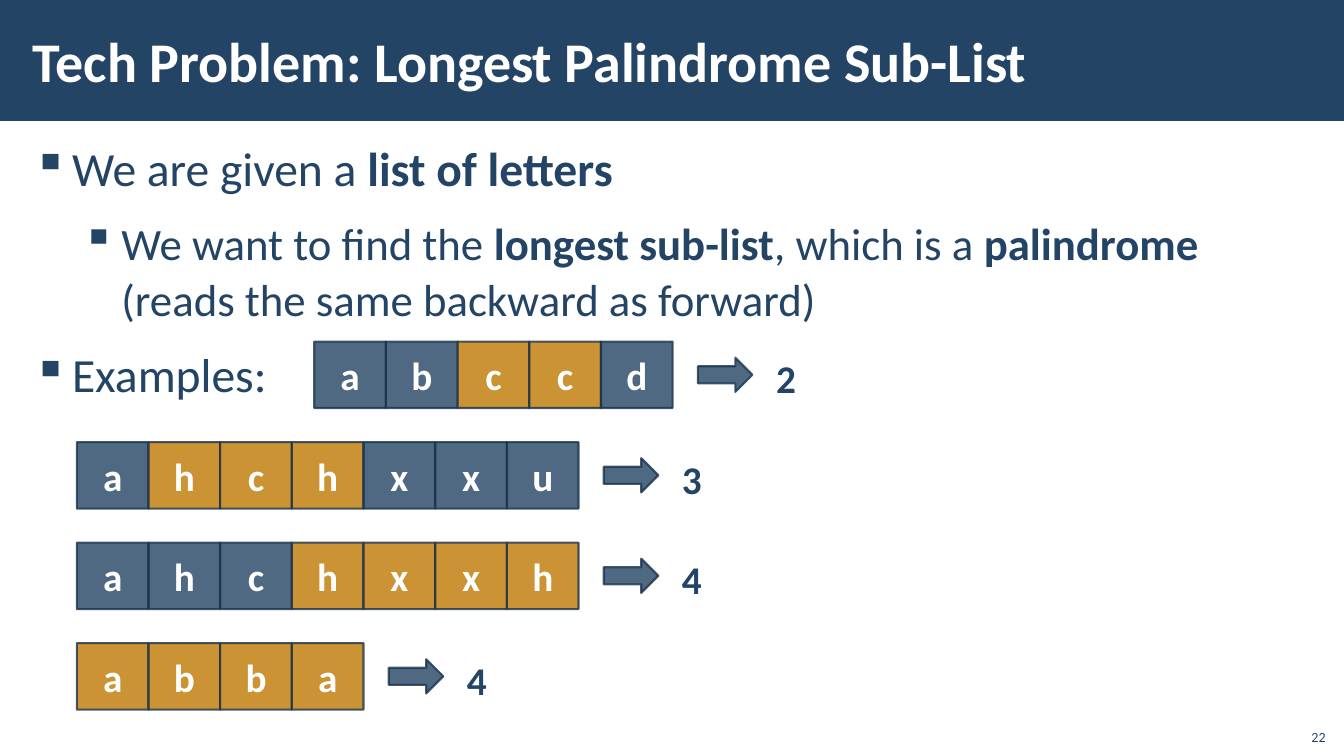
"""Build the slide on the longest palindrome sub-list problem."""
from dataclasses import dataclass

from lxml import etree
from pptx import Presentation
from pptx.dml.color import RGBColor
from pptx.enum import shapes, text
from pptx.oxml import ns
from pptx.util import Pt

NAVY = RGBColor(0x23, 0x44, 0x65)
DARK_NAVY = RGBColor(0x1A, 0x33, 0x4C)
GOLD = RGBColor(0xBF, 0x78, 0x00)
WHITE = RGBColor(0xFF, 0xFF, 0xFF)

FONT = "Calibri"
WIDTH, HEIGHT = 960, 540
CELL_PITCH, CELL_HEIGHT = 51.2, 47.5
FIRST_ROW_TOP, ROW_PITCH = 244, 71.8
ARROW_GAP, ARROW_WIDTH, ARROW_HEIGHT = 18, 39, 24.5
RESULT_OFFSET = 44.3


@dataclass(frozen=True)
class Bullet:
    level: int
    size: int
    runs: tuple[tuple[str, bool], ...]


@dataclass(frozen=True)
class Example:
    letters: str
    start: int
    length: int
    left: float = 54.9


BULLETS = (
    Bullet(0, 34, (("We are given a ", False), ("list of letters", True))),
    Bullet(1, 32, (("We want to find the ", False), ("longest sub-list", True),
                   (", which is a ", False), ("palindrome", True),
                   (" (reads the same backward as forward)", False))),
    Bullet(0, 34, (("Examples:", False),)),
)
EXAMPLES = (
    Example("abccd", 2, 2, 224.5),
    Example("ahchxxu", 1, 3),
    Example("ahchxxh", 3, 4),
    Example("abba", 0, 4),
)


def place(sp, left: float, top: float, width: float, height: float) -> None:
    sp.left, sp.top, sp.width, sp.height = map(Pt, (left, top, width, height))


def add_run(p, content: str, size: float, color: RGBColor, bold: bool = False) -> None:
    r = p.add_run()
    r.text = content
    r.font.name, r.font.size, r.font.bold = FONT, Pt(size), bold
    r.font.color.rgb = color


def set_frame(tf, inset_x: float, inset_y: float, anchor, wrap: bool = True) -> None:
    tf.auto_size = text.MSO_AUTO_SIZE.NONE
    tf.word_wrap = wrap
    tf.vertical_anchor = anchor
    tf.margin_left = tf.margin_right = Pt(inset_x)
    tf.margin_top = tf.margin_bottom = Pt(inset_y)


def add_box(s, left: float, top: float, width: float, height: float):
    return s.shapes.add_textbox(*map(Pt, (left, top, width, height))).text_frame


def add_tinted_shape(s, kind, left: float, top: float, width: float, height: float,
                     fill: RGBColor):
    sp = s.shapes.add_shape(kind, *map(Pt, (left, top, width, height)))
    sp.shadow.inherit = False
    sp.fill.solid()
    sp.fill.fore_color.rgb = fill
    sp.line.color.rgb = DARK_NAVY
    sp.line.width = Pt(1.5)
    for color in sp.element.spPr.iter(ns.qn("a:srgbClr")):
        etree.SubElement(color, ns.qn("a:alpha"), val="80000")
    return sp


def add_title(s) -> None:
    title = s.shapes.title
    place(title, 15, 8, 765.5, 70)
    set_frame(title.text_frame, 8.5, 2.8, text.MSO_ANCHOR.MIDDLE)
    p = title.text_frame.paragraphs[0]
    p.alignment = text.PP_ALIGN.LEFT
    add_run(p, "Tech Problem: Longest Palindrome Sub-List", 40, WHITE, True)

    banner = s.shapes.add_shape(shapes.MSO_SHAPE.RECTANGLE, 0, 0, Pt(WIDTH), Pt(86.4))
    banner.shadow.inherit = False
    banner.fill.solid()
    banner.fill.fore_color.rgb = NAVY
    banner.line.fill.background()
    title.element.addprevious(banner.element)


def add_bullets(s) -> None:
    tf = add_box(s, 15, 94.3, 930, 435.6)
    set_frame(tf, 8.5, 2.8, text.MSO_ANCHOR.TOP)
    for i, bullet in enumerate(BULLETS):
        p = tf.add_paragraph() if i else tf.paragraphs[0]
        p.level = bullet.level
        p.line_spacing = 1.05
        p.space_before = p.space_after = Pt(6)
        props = p._p.get_or_add_pPr()
        props.set("marL", str(Pt(28 + 35.2 * bullet.level)))
        props.set("indent", str(Pt(-28)))
        etree.SubElement(props, ns.qn("a:buChar"), char="▪")
        for content, bold in bullet.runs:
            add_run(p, content, bullet.size, NAVY, bold)


def add_example(s, example: Example, top: float) -> None:
    palindrome = range(example.start, example.start + example.length)
    for i, letter in enumerate(example.letters):
        cell = add_tinted_shape(s, shapes.MSO_SHAPE.RECTANGLE,
                                example.left + i * CELL_PITCH, top, CELL_PITCH, CELL_HEIGHT,
                                GOLD if i in palindrome else NAVY)
        set_frame(cell.text_frame, 7.2, 3.6, text.MSO_ANCHOR.MIDDLE)
        p = cell.text_frame.paragraphs[0]
        p.alignment = text.PP_ALIGN.CENTER
        add_run(p, letter, 28, WHITE, True)

    arrow_left = example.left + len(example.letters) * CELL_PITCH + ARROW_GAP
    add_tinted_shape(s, shapes.MSO_SHAPE.RIGHT_ARROW, arrow_left,
                     top + (CELL_HEIGHT - ARROW_HEIGHT) / 2, ARROW_WIDTH, ARROW_HEIGHT, NAVY)

    tf = add_box(s, arrow_left + RESULT_OFFSET, top - 2.5, 37.4, 52.6)
    set_frame(tf, 11.5, 8.6, text.MSO_ANCHOR.TOP, wrap=False)
    tf.paragraphs[0].line_spacing = 1.1
    add_run(tf.paragraphs[0], str(example.length), 28, NAVY, True)


def add_page_number(s) -> None:
    tf = add_box(s, 925.2, 512.6, 28.8, 23)
    set_frame(tf, 7.2, 3.6, text.MSO_ANCHOR.BOTTOM)
    tf.paragraphs[0].alignment = text.PP_ALIGN.RIGHT
    add_run(tf.paragraphs[0], "22", 10, NAVY)


def main() -> None:
    prs = Presentation()
    prs.slide_width, prs.slide_height = Pt(WIDTH), Pt(HEIGHT)
    s = prs.slides.add_slide(prs.slide_layouts.get_by_name("Title Only"))
    add_title(s)
    add_page_number(s)
    add_bullets(s)
    for row, example in enumerate(EXAMPLES):
        add_example(s, example, FIRST_ROW_TOP + row * ROW_PITCH)
    prs.save("out.pptx")


if __name__ == "__main__":
    main()
